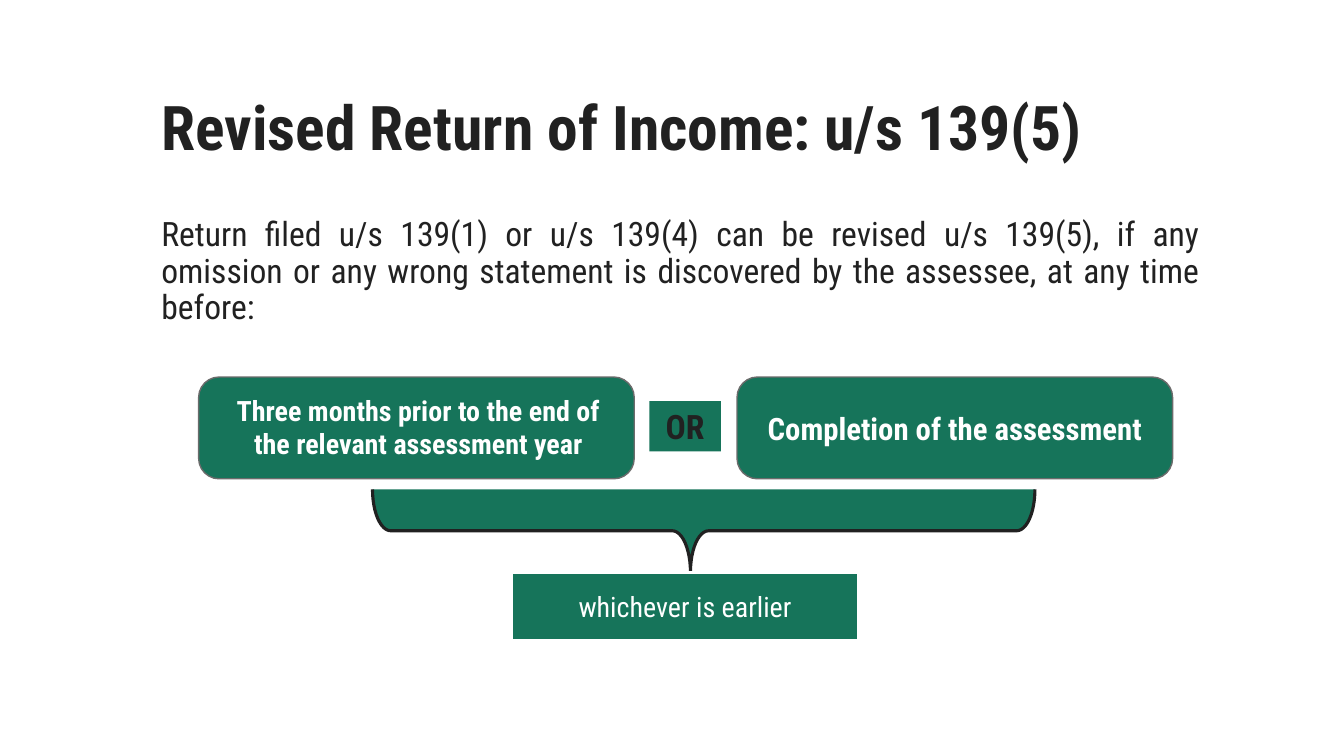
from dataclasses import dataclass, field

from pptx import Presentation
from pptx.dml.color import RGBColor
from pptx.enum.shapes import MSO_SHAPE as Shp
from pptx.enum.text import MSO_ANCHOR as Anchor, MSO_AUTO_SIZE as Fit, PP_ALIGN as Align
from pptx.oxml.ns import qn
from pptx.util import Emu, Pt

GREEN, INK, GREY, WHITE = "16745A", "212121", "6B6B6B", "FFFFFF"
FONT = "Roboto Condensed"


def px(n: int) -> Emu:
    """100 px to the inch."""
    return Emu(n * 9144)


def rgb(hex_color: str) -> RGBColor:
    return RGBColor.from_string(hex_color)


@dataclass
class Box:
    left: int
    top: int
    width: int
    height: int
    kind: Shp = Shp.RECTANGLE
    line: str = ""
    line_pt: float = 1
    adjust: tuple = ()
    rotation: int = 0
    text: str = ""
    size: int = 20
    color: str = WHITE
    bold: bool = True
    frame: dict = field(default_factory=lambda: {
        "auto_size": Fit.SHAPE_TO_FIT_TEXT, "vertical_anchor": Anchor.TOP})


def set_all(target, values: dict) -> None:
    for name, value in values.items():
        setattr(target, name, value)


def write(tf, text: str, size: int, color: str, bold: bool, frame: dict, para: dict) -> None:
    set_all(tf, {"word_wrap": True, **frame})
    p = tf.paragraphs[0]
    set_all(p, para)
    r = p.add_run()
    r.text = text
    set_all(r.font, {"name": FONT, "size": Pt(size), "bold": bold})
    r.font.color.rgb = rgb(color)


def place(s, left: int, top: int, width: int, height: int) -> None:
    set_all(s, {"left": px(left), "top": px(top), "width": px(width), "height": px(height)})


def draw(shapes, box: Box) -> None:
    s = shapes.add_shape(box.kind, px(box.left), px(box.top), px(box.width), px(box.height))
    s.shadow.inherit = False
    s.rotation = box.rotation
    for i, value in enumerate(box.adjust):
        s.adjustments[i] = value
    s.fill.solid()
    s.fill.fore_color.rgb = rgb(GREEN)
    if box.line:
        s.line.color.rgb = rgb(box.line)
        s.line.width = Pt(box.line_pt)
    else:
        s.line.fill.background()
    if box.text:
        write(s.text_frame, box.text, box.size, box.color, box.bold, box.frame,
              {"alignment": Align.CENTER})


CARD = {"top": 374, "width": 432, "height": 101, "kind": Shp.ROUNDED_RECTANGLE,
        "line": GREY, "adjust": (0.2,)}
BOXES = [
    # Two deadlines and the word between them
    Box(left=197, **CARD),
    Box(212, 385, 406, 77,
        text="Three months prior to the end of the relevant assessment year"),
    Box(644, 398, 71, 50, text="OR", size=24, color=INK),
    Box(left=731, **CARD),
    Box(744, 402, 406, 47, text="Completion of the assessment", size=22),
    # Brace leading to the outcome
    Box(657, 198, 82, 657, Shp.LEFT_BRACE, INK, 2.25, (0.22, 0.48), 270),
    Box(508, 568, 343, 67, line=WHITE, line_pt=1.5, text="whichever is earlier",
        bold=False, frame={"vertical_anchor": Anchor.MIDDLE}),
]


def main() -> None:
    prs = Presentation()
    prs.slide_width, prs.slide_height = px(1333), px(750)
    slide = prs.slides.add_slide(prs.slide_layouts[1])
    title, body = slide.placeholders

    # Title
    place(title, 150, 57, 1150, 145)
    write(title.text_frame, "Revised Return of Income: u/s 139(5)", 44, INK, True,
          {"auto_size": Fit.NONE, "vertical_anchor": Anchor.MIDDLE},
          {"alignment": Align.LEFT, "line_spacing": 0.9})

    # Body paragraph without a bullet
    place(body, 150, 211, 1050, 392)
    p_pr = body.text_frame.paragraphs[0]._p.get_or_add_pPr()
    p_pr.set("marL", "0")
    p_pr.set("indent", "0")
    p_pr.append(p_pr.makeelement(qn("a:buNone"), {}))
    write(body.text_frame,
          "Return filed u/s 139(1) or u/s 139(4) can be revised u/s 139(5), if any omission "
          "or any wrong statement is discovered by the assessee, at any time before:",
          24, INK, False, {"auto_size": Fit.NONE, "vertical_anchor": Anchor.TOP},
          {"alignment": Align.JUSTIFY, "line_spacing": 0.9, "space_before": Pt(0)})

    # Diagram
    for box in BOXES:
        draw(slide.shapes, box)

    prs.save("out.pptx")


if __name__ == "__main__":
    main()
